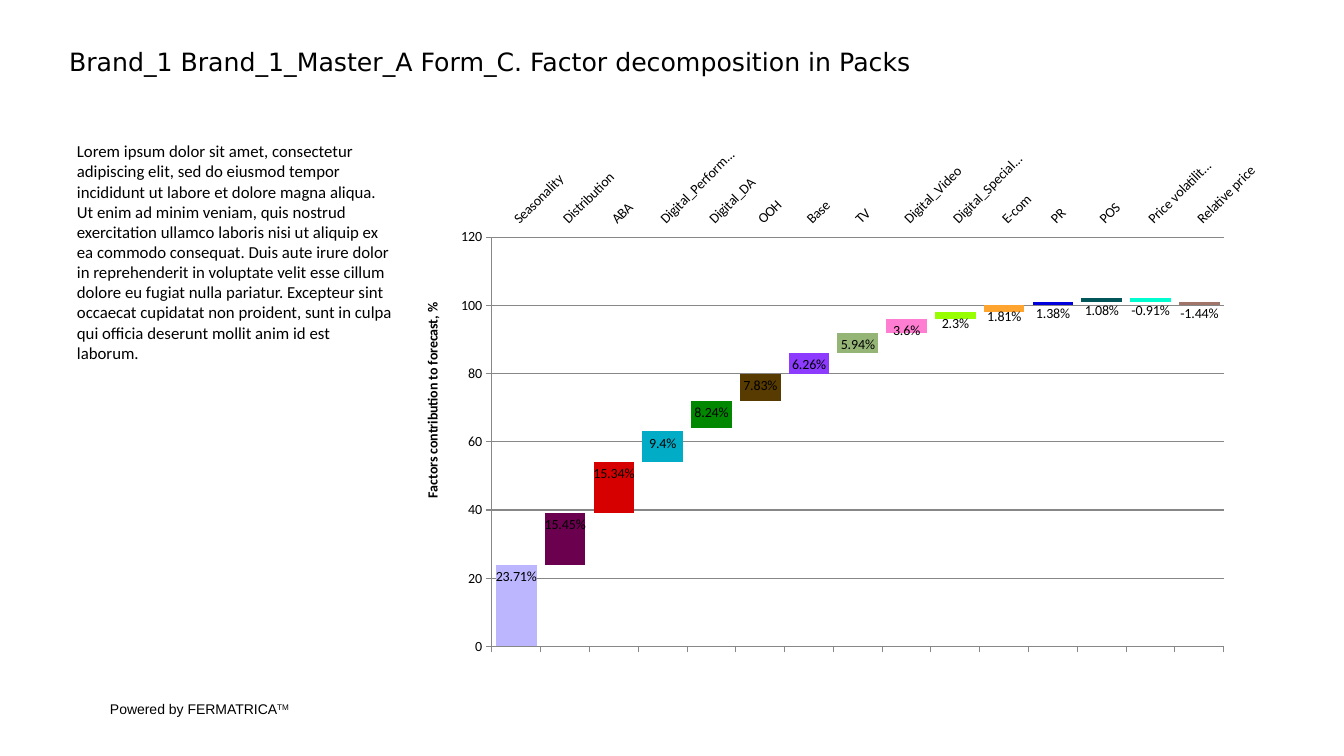
from pptx import Presentation
from pptx.chart.data import CategoryChartData
from pptx.dml.color import RGBColor
from pptx.enum.chart import XL_CHART_TYPE, XL_LABEL_POSITION, XL_TICK_LABEL_POSITION, XL_TICK_MARK
from pptx.enum.text import MSO_ANCHOR, PP_ALIGN
from pptx.util import Emu, Pt

STACKED = XL_CHART_TYPE.COLUMN_STACKED
INSIDE_END = XL_LABEL_POSITION.INSIDE_END
LABELS_HIGH = XL_TICK_LABEL_POSITION.HIGH
TICK_OUT = XL_TICK_MARK.OUTSIDE
TOP = MSO_ANCHOR.TOP
LEFT = PP_ALIGN.LEFT

PX = 914400 / 100.8
TITLE_ONLY = 5
BLACK = "000000"
GRID_GREY = "878787"

TITLE = "Brand_1 Brand_1_Master_A Form_C. Factor decomposition in Packs"
COMMENTARY = (
    "Lorem ipsum dolor sit amet, consectetur adipiscing elit, sed do eiusmod tempor "
    "incididunt ut labore et dolore magna aliqua. Ut enim ad minim veniam, quis nostrud "
    "exercitation ullamco laboris nisi ut aliquip ex ea commodo consequat. Duis aute irure "
    "dolor in reprehenderit in voluptate velit esse cillum dolore eu fugiat nulla pariatur. "
    "Excepteur sint occaecat cupidatat non proident, sunt in culpa qui officia deserunt "
    "mollit anim id est laborum."
)
FACTORS = [
    ("Seasonality", 23.71, "BCB6FF"),
    ("Distribution", 15.45, "6B004F"),
    ("ABA", 15.34, "D60000"),
    ("Digital_Perform...", 9.4, "00ACC6"),
    ("Digital_DA", 8.24, "018700"),
    ("OOH", 7.83, "573B00"),
    ("Base", 6.26, "8C3BFF"),
    ("TV", 5.94, "95B577"),
    ("Digital_Video", 3.6, "FF7ED1"),
    ("Digital_Special...", 2.3, "97FF00"),
    ("E-com", 1.81, "FFA52F"),
    ("PR", 1.38, "0000DD"),
    ("POS", 1.08, "005659"),
    ("Price volatilit...", -0.91, "00FDCF"),
    ("Relative price", -1.44, "A17569"),
]


def px(length):
    return Emu(round(length * PX))


def rgb(hex_colour):
    return RGBColor.from_string(hex_colour)


def style_font(font, size, name, bold=None):
    font.size = Pt(size)
    font.name = name
    font.bold = bold
    font.color.rgb = rgb(BLACK)


class SlideBuilder:
    body_font = "Calibri"
    title_font = "DejaVu Sans"
    footer_font = "Arial"

    def __init__(self, presentation):
        self.slide = presentation.slides.add_slide(presentation.slide_layouts[TITLE_ONLY])

    def fill_frame(self, frame, text, size, font, inset=None):
        frame.word_wrap = True
        frame.vertical_anchor = TOP
        if inset is not None:
            frame.margin_left = frame.margin_right = inset
            frame.margin_top = frame.margin_bottom = inset
        paragraph = frame.paragraphs[0]
        paragraph.alignment = LEFT
        paragraph.add_run().text = text
        style_font(paragraph.font, size, font)
        return paragraph

    def title(self, box, text):
        heading = self.slide.shapes.title
        heading.left, heading.top, heading.width, heading.height = map(px, box)
        paragraph = self.fill_frame(heading.text_frame, text, 18, self.title_font, 0)
        paragraph.line_spacing = 0.9

    def text(self, box, text, size, font, inset=None):
        frame = self.slide.shapes.add_textbox(*map(px, box)).text_frame
        return self.fill_frame(frame, text, size, font, inset)

    def footer(self, box, text, superscript):
        paragraph = self.text(box, text, 10, self.footer_font, 0)
        mark = paragraph.add_run()
        mark.text = superscript
        mark.font._element.set("baseline", "30000")

    def waterfall(self, box, factors, axis_title):
        """Stack each factor's bar on an unfilled series that lifts it to the running total."""
        offsets, total = [], 0
        for _, share, _ in factors:
            next_total = round(total + share, 2)
            offsets.append(round(min(total, next_total)))
            total = next_total
        data = CategoryChartData()
        data.categories = [name for name, _, _ in factors]
        data.add_series("Series 1", offsets)
        data.add_series("Series 2", [round(abs(share)) for _, share, _ in factors])
        chart = self.slide.shapes.add_chart(STACKED, *map(px, box), data).chart
        chart.has_legend = False
        chart.has_title = False
        style_font(chart.font, 10, self.body_font)

        plot = chart.plots[0]
        plot.gap_width = 20
        plot.overlap = 100
        plot.vary_by_categories = False
        lift, bars = plot.series
        lift.format.fill.background()
        for index, (_, share, colour) in enumerate(factors):
            point = bars.points[index]
            point.format.fill.solid()
            point.format.fill.fore_color.rgb = rgb(colour)
            label = point.data_label
            caption = label.text_frame.paragraphs[0]
            caption.add_run().text = f"{share}%"
            style_font(caption.font, 10, self.body_font)
            label.position = INSIDE_END
        self.format_axes(chart, axis_title)

    def format_axes(self, chart, axis_title):
        names, shares = chart.category_axis, chart.value_axis
        for axis in (names, shares):
            axis.major_tick_mark = TICK_OUT
            axis.format.line.color.rgb = rgb(GRID_GREY)
        names.tick_label_position = LABELS_HIGH
        style_font(names.tick_labels.font, 10, self.body_font)
        for body in names._element.txPr.iter("{*}bodyPr"):
            body.set("rot", "-2700000")
            body.set("vert", "horz")

        shares.minimum_scale, shares.maximum_scale, shares.major_unit = 0, 120, 20
        shares.has_major_gridlines = True
        shares.major_gridlines.format.line.color.rgb = rgb(GRID_GREY)
        frame = shares.axis_title.text_frame
        frame.paragraphs[0].add_run().text = axis_title
        style_font(frame.paragraphs[0].font, 10, self.body_font, bold=True)


def main():
    presentation = Presentation()
    presentation.slide_width, presentation.slide_height = px(1344), px(756)
    builder = SlideBuilder(presentation)
    builder.title((69, 50, 1209, 87), TITLE)
    builder.text((67, 136, 336, 529), COMMENTARY, 12, builder.body_font)
    builder.waterfall((403, 136, 874, 529), FACTORS, "Factors contribution to forecast, %")
    builder.footer((110, 701, 202, 17), "Powered by FERMATRICA", "TM")
    presentation.save("out.pptx")


if __name__ == "__main__":
    main()
